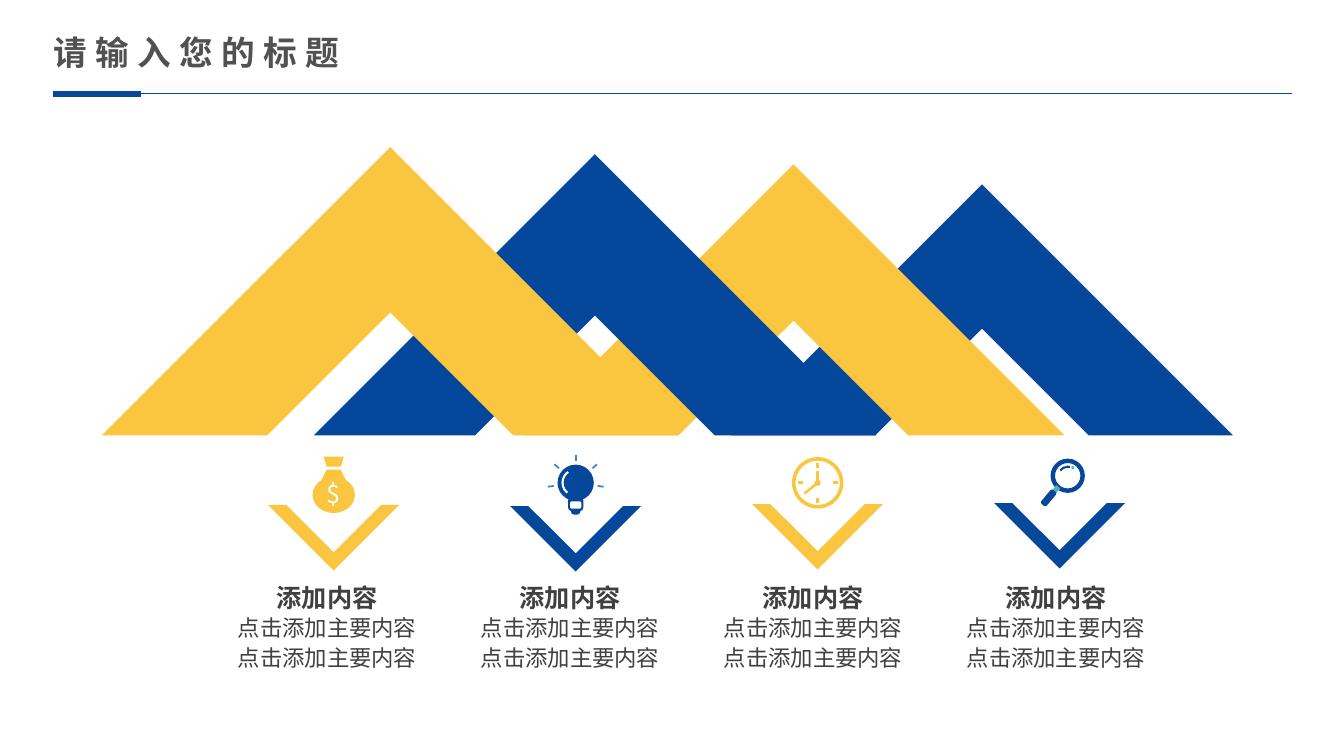
"""Build a slide with four overlapping peaks above four icon captions."""
from math import cos, radians, sin
from lxml.etree import SubElement
from pptx import Presentation
from pptx.dml.color import RGBColor
from pptx.enum.shapes import MSO_CONNECTOR, MSO_SHAPE as SHAPE
from pptx.enum.text import PP_ALIGN as ALIGN
from pptx.oxml.ns import qn
from pptx.util import Inches, Pt

COLORS = {"blue": "05489B", "gold": "FBC63F", "ray": "3F87C3", "teal": "4DB4B3",
          "title": "515151", "text": "404040", "white": "FFFFFF"}
FONT = "Noto Sans CJK SC"

deck = Presentation()
deck.slide_width, deck.slide_height = Inches(13.33), Inches(7.5)
slide = deck.slides.add_slide(deck.slide_layouts[6])
shapes = slide.shapes


def paint(part, color):
    """Give a shape a flat fill without outline or shadow."""
    part.shadow.inherit = False
    part.fill.solid()
    part.fill.fore_color.rgb = RGBColor.from_string(COLORS[color])
    part.line.fill.background()


def spoke(center, angle, inner, outer):
    """Return both ends of a radial line, with the angle in degrees clockwise."""
    x, y = center
    across, down = cos(radians(angle)), sin(radians(angle))
    return [(x + r * across, y + r * down) for r in (inner, outer)]


peak_base = 4.32
peaks = [(9.74, peak_base, 2.49, 1.06, "blue"), (7.87, peak_base, 2.69, 1.14, "gold"),
         (5.9, peak_base, 2.79, 1.19, "blue"), (3.87, peak_base, 2.86, 1.22, "gold")]
chevron_tops = [5.01, 5.02, 5, 4.99]
chevrons = [(3.31 + 2.4 * i, top, -0.65, -0.47, "blue" if i % 2 else "gold")
            for i, top in enumerate(chevron_tops)]
for apex, base, height, gap, color in peaks + chevrons:
    corners = [(apex, base - height), (apex + height, base), (apex + gap, base),
               (apex, base - gap), (apex - gap, base), (apex - height, base)]
    first, *rest = [(Inches(x), Inches(y)) for x, y in corners]
    band = shapes.build_freeform(*first, scale=1.0)
    band.add_line_segments(rest, close=True)
    paint(band.convert_to_shape(), color)

bag_x = 3.31
bulb_center = bulb_x, bulb_y = 5.71, 4.79
clock_center = clock_x, clock_y = 8.11, 4.79
lens_center = lens_x, lens_y = 10.59, 4.72
handle_tilt = 130

bag = [(SHAPE.TRAPEZOID, (bag_x, 4.58), (0.2, 0.1), "gold", 0.3, 180),
       (SHAPE.TRAPEZOID, (bag_x, 4.77), (0.36, 0.22), "gold", 0.5, 0),
       (SHAPE.OVAL, (bag_x, 4.91), (0.42, 0.36), "gold", None, 0)]
bulb = [(SHAPE.OVAL, bulb_center, (0.36, 0.36), "blue", None, 0),
        (SHAPE.ROUNDED_RECTANGLE, (bulb_x, 5), (0.15, 0.14), "blue", 0.25, 0),
        (SHAPE.ROUNDED_RECTANGLE, (bulb_x, 5.07), (0.09, 0.07), "blue", 0.4, 0),
        (SHAPE.ROUNDED_RECTANGLE, (bulb_x, 5.01), (0.11, 0.07), "white", 0.2, 0)]
clock = [(SHAPE.DONUT, clock_center, (0.51, 0.51), "gold", 0.07, 0),
         (SHAPE.OVAL, clock_center, (0.06, 0.06), "gold", None, 0)]
magnifier = [(SHAPE.DONUT, lens_center, (0.34, 0.34), "blue", 0.13, 0),
             (SHAPE.RECTANGLE, (10.47, 4.86), (0.08, 0.05), "teal", None, handle_tilt),
             (SHAPE.ROUNDED_RECTANGLE, (10.4, 4.94), (0.18, 0.07), "blue", 0.3, handle_tilt),
             (SHAPE.OVAL, (10.64, 4.64), (0.03, 0.03), "teal", None, 0)]
for kind, (x, y), (width, height), color, adjustment, turn in bag + bulb + clock + magnifier:
    part = shapes.add_shape(kind, Inches(x - width / 2), Inches(y - height / 2),
                            Inches(width), Inches(height))
    if adjustment is not None:
        part.adjustments[0] = adjustment
    part.rotation = turn
    paint(part, color)

bulb_glint = (bulb_center, 0.13, 130, 235, "white")
lens_glint = (lens_center, 0.09, 215, 285, "blue")
for (x, y), radius, start, end, color in [bulb_glint, lens_glint]:
    glint = shapes.add_shape(SHAPE.ARC, Inches(x - radius), Inches(y - radius),
                             Inches(2 * radius), Inches(2 * radius))
    for i, angle in enumerate([start, end]):
        glint.adjustments[i] = angle * 0.6
    glint.shadow.inherit = False
    glint.fill.background()
    glint.line.width = Pt(1.5)
    glint.line.color.rgb = RGBColor.from_string(COLORS[color])

title_rules = [([(0.53, 0.93), (1.4, 0.93)], 4.5, "blue"),
               ([(1.4, 0.93), (12.81, 0.93)], 0.5, "blue")]
bulb_rays = [(spoke(bulb_center, -188 + 49 * i, 0.22, 0.28), 1.25, "ray") for i in range(5)]
clock_ticks = [(spoke(clock_center, 90 * i, 0.15, 0.2), 2, "gold") for i in range(4)]
clock_hands = [(spoke(clock_center, angle, 0, length), 1.75, "gold")
               for angle, length in [(-90, 0.12), (141, 0.17)]]
for ends, width, color in title_rules + bulb_rays + clock_ticks + clock_hands:
    stroke = shapes.add_connector(MSO_CONNECTOR.STRAIGHT,
                                  *[Inches(value) for end in ends for value in end])
    stroke.line.width = Pt(width)
    stroke.line.color.rgb = RGBColor.from_string(COLORS[color])
    SubElement(stroke._element.spPr, qn("a:effectLst"))

body_style = {"size": 16, "pitch": 22, "color": "text", "align": ALIGN.CENTER}
heading_style = {"size": 18, "pitch": 24, "color": "text", "align": ALIGN.CENTER, "bold": True}
title_style = {"size": 24, "pitch": 28, "color": "title", "align": ALIGN.LEFT, "bold": True,
               "tracking": 6}
dollar_style = {"size": 18, "pitch": 18, "color": "white", "align": ALIGN.CENTER}

texts = [((0.43, 0.28, 3.5, 0.5), ["请输入您的标题"], title_style),
         ((bag_x - 0.2, 4.75, 0.4, 0.35), ["$"], dollar_style)]
for i in range(len(chevrons)):
    left = 2.18 + 2.41 * i
    texts += [((left, 6, 2.13, 0.71), ["点击添加主要内容"] * 2, body_style),
              ((left - 0.07, 5.69, 2.27, 0.42), ["添加内容"], heading_style)]
for box, lines, style in texts:
    frame = shapes.add_textbox(*map(Inches, box)).text_frame
    frame.word_wrap = True
    for i, line in enumerate(lines):
        paragraph = frame.add_paragraph() if i else frame.paragraphs[0]
        paragraph.alignment, paragraph.line_spacing = style["align"], Pt(style["pitch"])
        run = paragraph.add_run()
        run.text = line
        font_values = {"name": FONT, "size": Pt(style["size"]), "bold": style.get("bold", False)}
        for key, value in font_values.items():
            setattr(run.font, key, value)
        run.font.color.rgb = RGBColor.from_string(COLORS[style["color"]])
        properties = run._r.get_or_add_rPr()
        SubElement(properties, qn("a:ea"), typeface=FONT)
        properties.set("spc", str(style.get("tracking", 0) * 100))

deck.save("out.pptx")
